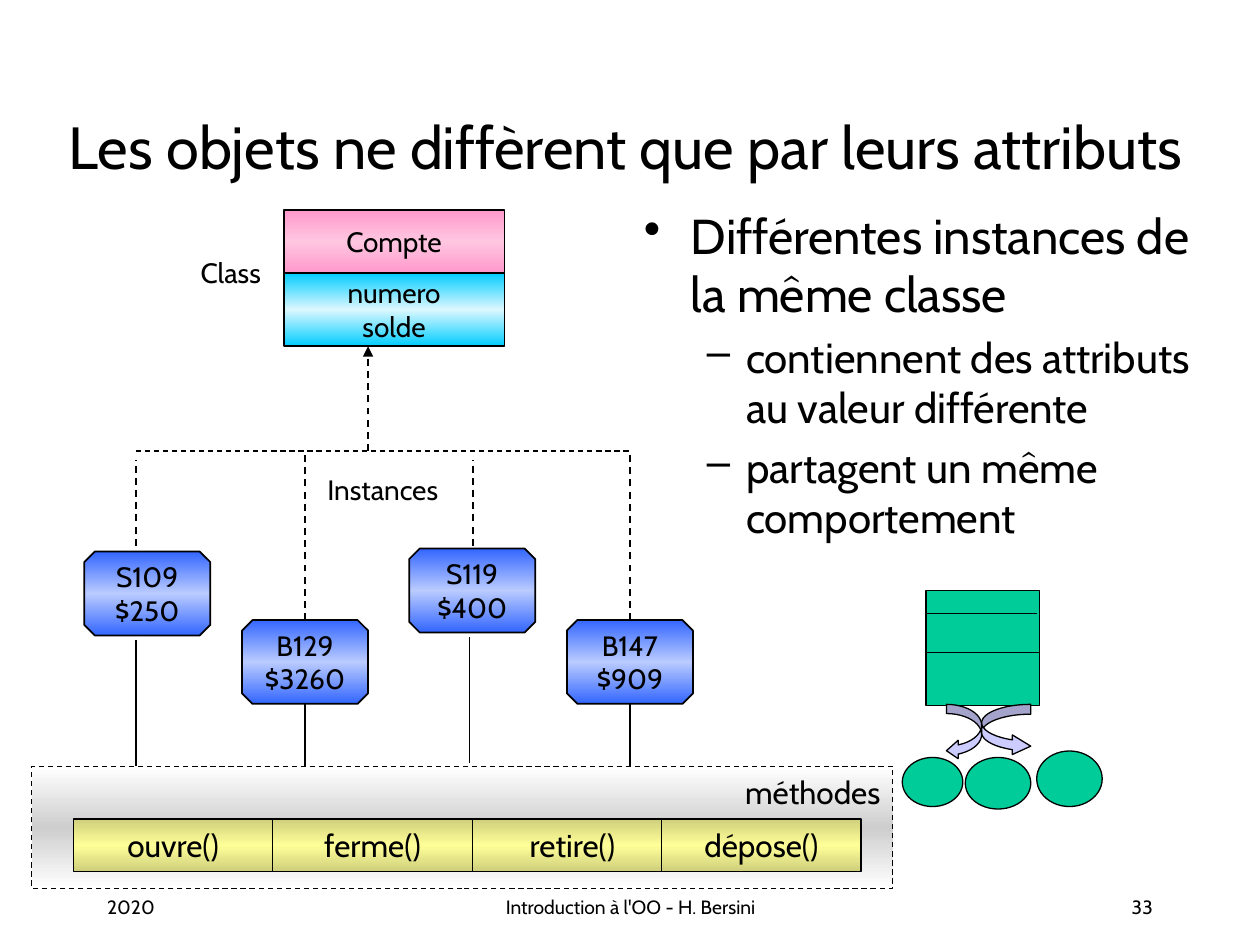
from copy import deepcopy

from lxml.etree import SubElement
from pptx import Presentation
from pptx.dml.color import RGBColor
from pptx.enum.dml import MSO_LINE
from pptx.enum.shapes import MSO_CONNECTOR, MSO_SHAPE as Preset
from pptx.enum.text import MSO_ANCHOR as Anchor, PP_ALIGN as Align
from pptx.oxml.ns import qn
from pptx.util import Cm, Pt

FONT = "Cabin"
COLORS = {
    "ink": "000000", "green": "00CC99", "lilac": "CCCCFF",
    # gradients: edge and middle
    "frame": ("FFFFFF", "CECECE"), "method": ("CECE7C", "FFFF99"),
    "class": ("FF99CC", "FFC6E0"), "attributes": ("00CCFF", "DDF8FF"),
    "instance": ("3366FF", "BACBFF"),
}

TITLE = "Les objets ne diffèrent que par leurs attributs"
POINTS = [
    (0, "Différentes instances de la même classe"),
    (1, "contiennent des attributs au valeur différente"),
    (1, "partagent un même comportement"),
]
# level: size, bullet, left margin, hanging indent
LEVELS = {0: (28, "•", 0.95, 0.95), 1: (24, "–", 2.06, 0.79)}

CLASS_PARTS = [("Compte", "class", 4.23, 1.27), ("numero\nsolde", "attributes", 5.5, 1.48)]
METHODS = [("ouvre()", 1.48), ("ferme()", 5.5), ("retire()", 9.53), ("dépose()", 13.34)]
# text, left, top, x of dashed line, its top and bottom, x of solid line, its top and bottom
INSTANCES = [
    ("S109\n$250", 1.7, 11.12, 2.74, 9.27, 11.0, 2.74, 12.9, 15.45),
    ("B129\n$3260", 4.88, 12.5, 6.15, 9.09, 12.5, 6.15, 14.18, 15.45),
    ("S119\n$400", 8.25, 11.06, 9.53, 9.27, 11.0, 9.47, 12.85, 15.39),
    ("B147\n$909", 11.43, 12.5, 12.7, 9.09, 12.5, 12.7, 14.18, 15.45),
]
FOOTER = [
    ("2020", 1.91, 5.28, Align.LEFT),
    ("Introduction à l'OO - H. Bersini", 8.69, 8.05, Align.CENTER),
    ("33", 18.21, 5.28, Align.RIGHT),
]
ICON_CLASS = (18.67, 11.91, 2.29, 2.31)
ICON_RULES = [(12.37, 20.9), (13.16, 20.95)]
ICON_OBJECTS = [(18.19, 15.27, 1.22, 0.99), (19.46, 15.27, 1.32, 1.04),
                (20.9, 15.14, 1.32, 1.12)]
ICON_ARROWS = [
    (Preset.CURVED_LEFT_ARROW, (19.08, 14.2, 0.71, 1.12), (0.262, 0.523, 0.333)),
    (Preset.CURVED_RIGHT_ARROW, (19.79, 14.2, 0.99, 1.04), (0.2, 0.4, 0.375)),
]


def rgb(name):
    return RGBColor.from_string(COLORS[name])


def style_font(paragraph, size):
    for run in paragraph.runs:
        run.font.size = Pt(size)
        run.font.name = FONT
        run.font.color.rgb = rgb("ink")


def write(shape, text, size, align=Align.CENTER, anchor=Anchor.MIDDLE, wrap=False):
    frame = shape.text_frame
    frame.text = text
    frame.word_wrap = wrap
    frame.vertical_anchor = anchor
    for paragraph in frame.paragraphs:
        paragraph.alignment = align
        style_font(paragraph, size)


def add_label(box, text, size, align, anchor=Anchor.MIDDLE, wrap=False):
    write(slide.shapes.add_textbox(*map(Cm, box)), text, size, align, anchor, wrap)


def set_fill(shape, color):
    """Solid for a single colour, three symmetrical stops for a pair."""
    fill = shape.fill
    if isinstance(COLORS[color], str):
        fill.solid()
        fill.fore_color.rgb = rgb(color)
        return
    edge, middle = COLORS[color]
    fill.gradient()
    fill.gradient_angle = 90
    stop_list = shape._element.spPr.find(".//" + qn("a:gsLst"))
    stop_list.insert(1, deepcopy(stop_list[0]))
    for stop, hex_color, position in zip(fill.gradient_stops, (edge, middle, edge), (0, 0.5, 1)):
        stop.color.rgb = RGBColor.from_string(hex_color)
        stop.position = position


def set_line(line, width, dashed):
    line.color.rgb = rgb("ink")
    line.width = Pt(width)
    if dashed:
        line.dash_style = MSO_LINE.DASH


def add_block(shapes, preset, box, color, width=0.75, dashed=False, adjustments=()):
    block = shapes.add_shape(preset, *map(Cm, box))
    block.shadow.inherit = False
    for index, value in enumerate(adjustments):
        block.adjustments[index] = value
    set_fill(block, color)
    set_line(block.line, width, dashed)
    return block


def add_line(shapes, x1, y1, x2, y2, width=0.75, dashed=False, arrow=False):
    connector = shapes.add_connector(MSO_CONNECTOR.STRAIGHT, *map(Cm, (x1, y1, x2, y2)))
    set_line(connector.line, width, dashed)
    properties = connector._element.spPr
    if arrow:
        SubElement(properties.find(qn("a:ln")), qn("a:tailEnd"), type="triangle")
    SubElement(properties, qn("a:effectLst"))


def add_points():
    frame = slide.shapes.add_textbox(Cm(12.73), Cm(4.01), Cm(11.63), Cm(13.97)).text_frame
    frame.word_wrap = True
    for index, (level, text) in enumerate(POINTS):
        size, bullet, margin, hanging = LEVELS[level]
        paragraph = frame.add_paragraph() if index else frame.paragraphs[0]
        paragraph.text = text
        paragraph.level = level
        paragraph.space_before = Pt(5 if index else 0)
        properties = paragraph._p.get_or_add_pPr()
        properties.set("marL", str(Cm(margin)))
        properties.set("indent", str(-Cm(hanging)))
        SubElement(properties, qn("a:buChar"), char=bullet)
        style_font(paragraph, size)


presentation = Presentation()
presentation.slide_width, presentation.slide_height = Cm(25.4), Cm(19.05)
slide = presentation.slides.add_slide(presentation.slide_layouts[6])
shapes = slide.shapes

methods_frame = add_block(shapes, Preset.RECTANGLE, (0.64, 15.45, 17.36, 2.46), "frame", dashed=True)
write(methods_frame, "méthodes", 18, Align.RIGHT, Anchor.TOP)
for text, left in METHODS:
    write(add_block(shapes, Preset.RECTANGLE, (left, 16.51, 4.02, 1.06), "method"), text, 18)

add_label((0.51, 1.35, 24.21, 3.18), TITLE, 34, Align.CENTER, wrap=True)
add_points()

for text, color, top, height in CLASS_PARTS:
    write(add_block(shapes, Preset.RECTANGLE, (5.72, top, 4.45, height), color, 1), text, 16)
add_label((2.54, 5.08, 2.97, 0.84), "Class", 16, Align.RIGHT)
add_label((6.35, 9.32, 2.97, 1.07), "Instances", 16, Align.LEFT)

add_line(shapes, 7.42, 9.09, 7.42, 6.98, 1, dashed=True, arrow=True)
add_line(shapes, INSTANCES[0][3], 9.09, INSTANCES[-1][3], 9.09, dashed=True)
for text, left, top, up_x, up_top, up_bottom, down_x, down_top, down_bottom in INSTANCES:
    write(add_block(shapes, Preset.OCTAGON, (left, top, 2.54, 1.69), "instance", 1,
                    adjustments=[0.125]), text, 16)
    add_line(shapes, up_x, up_bottom, up_x, up_top, 1, dashed=True)
    add_line(shapes, down_x, down_top, down_x, down_bottom)

for text, left, width, align in FOOTER:
    add_label((left, 17.93, width, 0.71), text, 11, align, Anchor.TOP, wrap=True)

icon = shapes.add_group_shape().shapes
add_block(icon, Preset.RECTANGLE, ICON_CLASS, "green")
for y, right in ICON_RULES:
    add_line(icon, ICON_CLASS[0], y, right, y)
for box in ICON_OBJECTS:
    add_block(icon, Preset.OVAL, box, "green")
for preset, box, adjustments in ICON_ARROWS:
    add_block(icon, preset, box, "lilac", adjustments=adjustments)

presentation.save("out.pptx")
